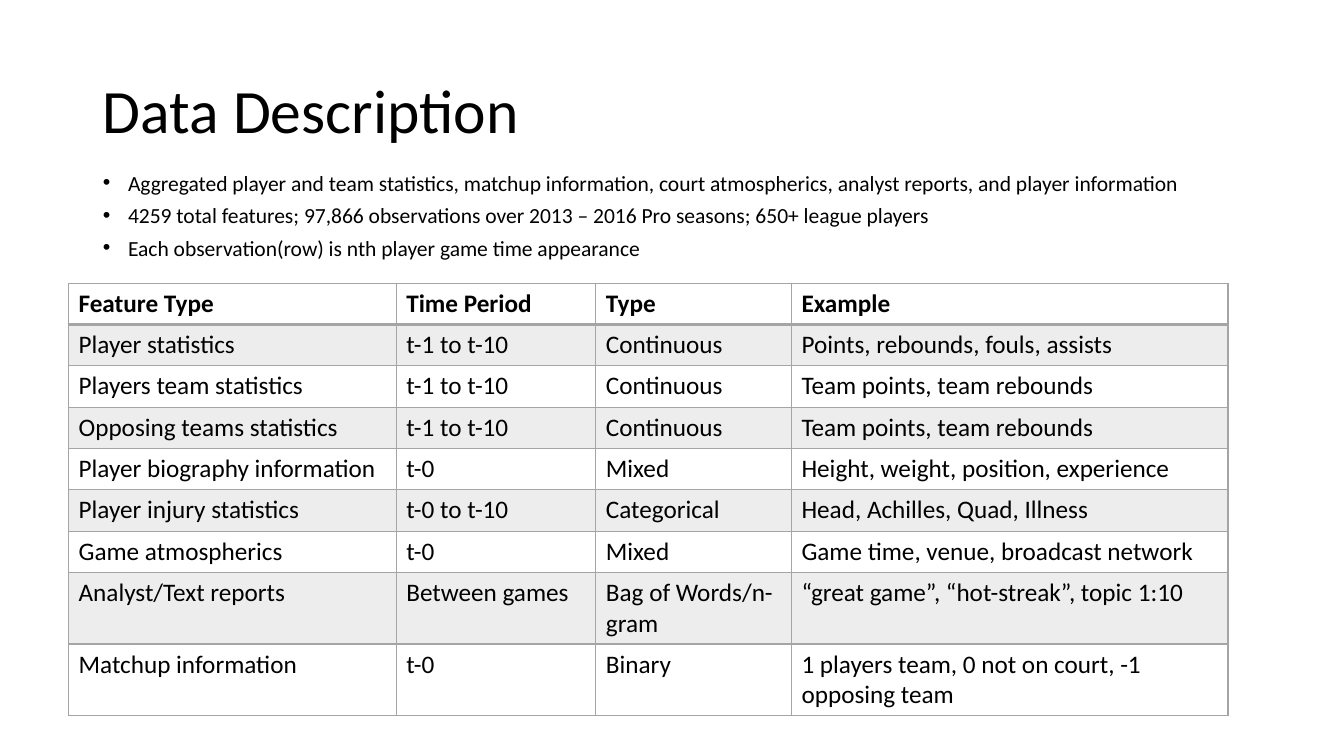
from lxml import etree
from pptx import Presentation
from pptx import util as u
from pptx.dml.color import RGBColor
from pptx.enum import text as t
from pptx.oxml import ns

# Content
TITLE = "Data Description"
NOTES = [
    "Aggregated player and team statistics, matchup information, court atmospherics, "
    "analyst reports, and player information",
    "4259 total features; 97,866 observations over 2013 – 2016 Pro seasons; 650+ league players",
    "Each observation(row) is nth player game time appearance",
]
ROWS = [
    ("Feature Type", "Time Period", "Type", "Example"),
    ("Player statistics", "t-1 to t-10", "Continuous", "Points, rebounds, fouls, assists"),
    ("Players team statistics", "t-1 to t-10", "Continuous", "Team points, team rebounds"),
    ("Opposing teams statistics", "t-1 to t-10", "Continuous", "Team points, team rebounds"),
    ("Player biography information", "t-0", "Mixed", "Height, weight, position, experience"),
    ("Player injury statistics", "t-0 to t-10", "Categorical", "Head, Achilles, Quad, Illness"),
    ("Game atmospherics", "t-0", "Mixed", "Game time, venue, broadcast network"),
    ("Analyst/Text reports", "Between games", "Bag of Words/n-gram",
     "“great game”, “hot-streak”, topic 1:10"),
    ("Matchup information", "t-0", "Binary", "1 players team, 0 not on court, -1 opposing team"),
]

# Layout in inches
WIDE, HIGH = 13.33, 7.5
LEFT, SPAN = 0.92, 11.5
COLS = (3.25, 1.98, 1.94, 4.33)
ROW = 0.41
GRAY = "A5A5A5"


def color(code):
    return RGBColor.from_string(code)


def write(par, words, size, bold=False, line=None, before=0):
    run = par.add_run()
    run.text = words
    font = run.font
    font.name, font.size, font.bold = "Calibri", u.Pt(size), bold
    font.color.rgb = color("000000")
    par.alignment = t.PP_ALIGN.LEFT
    par.space_before = u.Pt(before)
    if line:
        par.line_spacing = line


def place(shape, *box):
    shape.left, shape.top, shape.width, shape.height = map(u.Inches, box)
    shape.text_frame.auto_size = t.MSO_AUTO_SIZE.NONE
    shape.text_frame.word_wrap = True
    return shape.text_frame


def node(up, tag, **keys):
    return etree.SubElement(up, ns.qn("a:" + tag), **keys)


def edge(cell, widths):
    props = cell._tc.get_or_add_tcPr()
    for spot, (side, width) in enumerate(zip("LRTB", widths)):
        line = node(props, "ln" + side, w=str(u.Pt(width)))
        node(node(line, "solidFill"), "srgbClr", val=GRAY)
        props.insert(spot, line)


def shade(cell):
    cell.fill.solid()
    cell.fill.fore_color.rgb = color(GRAY)
    tint = next(cell._tc.tcPr.iter(ns.qn("a:srgbClr")))
    node(tint, "alpha", val="20000")


deck = Presentation()
deck.slide_width, deck.slide_height = u.Inches(WIDE), u.Inches(HIGH)
slide = deck.slides.add_slide(deck.slide_layouts[1])

# Title
head = place(slide.shapes.title, LEFT, 0.4, SPAN, 1.45)
head.vertical_anchor = t.MSO_ANCHOR.MIDDLE
write(head.paragraphs[0], TITLE, 44, line=0.9)

# Bullet list
body = place(slide.placeholders[1], LEFT, 1.71, SPAN, 0.92)
for num, note in enumerate(NOTES):
    par = body.add_paragraph() if num else body.paragraphs[0]
    write(par, note, 15.4, line=0.7, before=10)
    props = par._p.get_or_add_pPr()
    props.set("marL", str(u.Inches(0.25)))
    props.set("indent", str(u.Inches(-0.25)))
    node(props, "buFont", typeface="Arial")
    node(props, "buChar", char="•")

# Feature table
table = slide.shapes.add_table(len(ROWS), len(COLS), u.Inches(0.68), u.Inches(2.81),
                               u.Inches(SPAN), u.Inches(ROW * len(ROWS))).table
table.horz_banding = False
for col, width in zip(table.columns, COLS):
    col.width = u.Inches(width)
for r, row in enumerate(ROWS):
    table.rows[r].height = u.Inches(ROW)
    for c, words in enumerate(row):
        cell = table.cell(r, c)
        write(cell.text_frame.paragraphs[0], words, 18, bold=r == 0)
        if r % 2:
            shade(cell)
        else:
            cell.fill.background()
        edge(cell, (1, 1, 2 if r == 1 else 1, 2 if r == 0 else 1))

deck.save("out.pptx")
